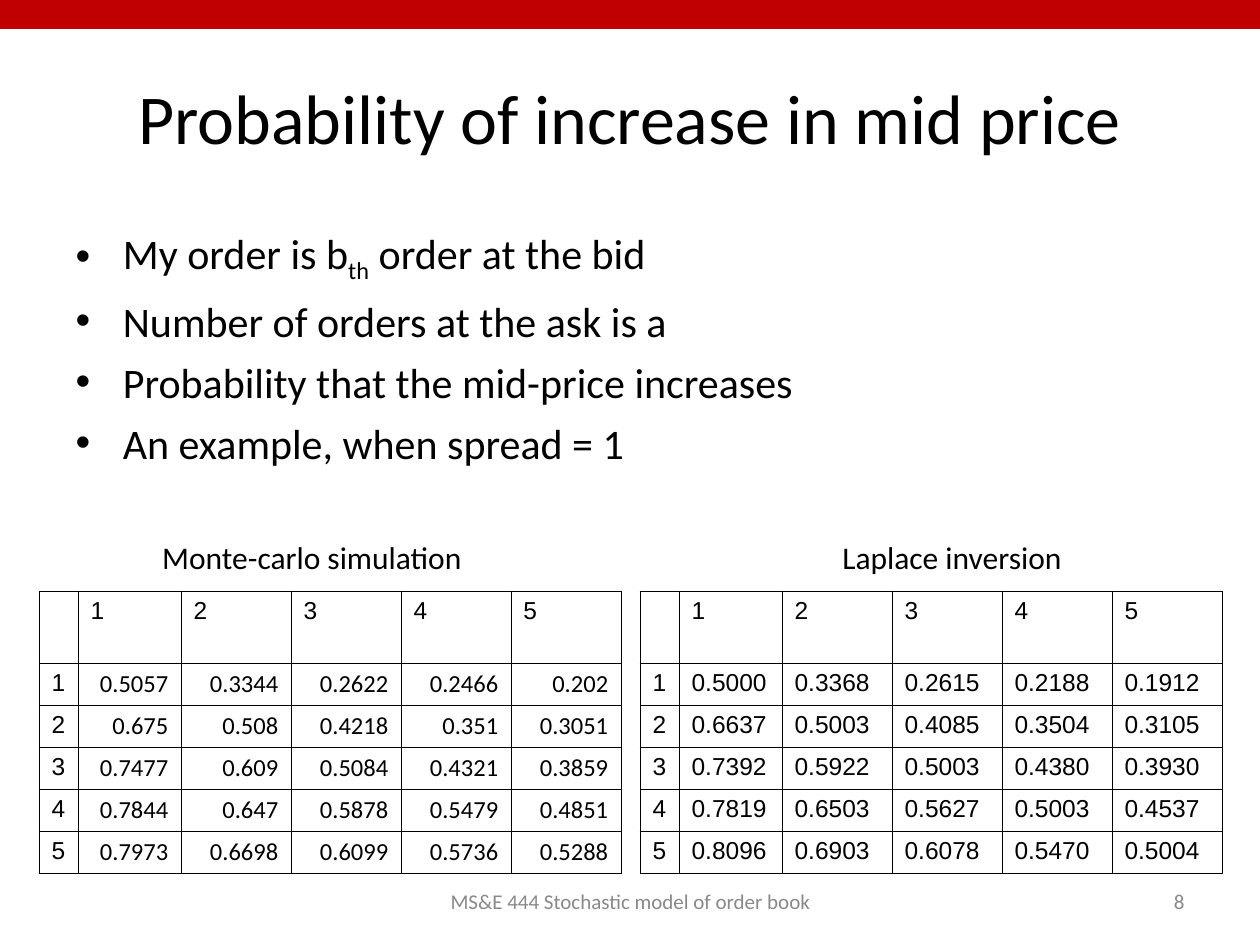
from dataclasses import dataclass

from lxml.etree import SubElement
from pptx import Presentation
from pptx.dml.color import RGBColor as RGB
from pptx.enum.shapes import MSO_SHAPE as SHAPE
from pptx.enum.text import MSO_ANCHOR as ANCHOR, MSO_AUTO_SIZE as AUTO, PP_ALIGN as ALIGN
from pptx.oxml.ns import qn
from pptx.util import Pt

PX = 914400 / 126
HEAD_ROW, DATA_ROW = 72, 42
COLS = [39, 103, 110, 110, 110, 110]
TABLE_TOP = 591


@dataclass(frozen=True)
class Theme:
    text: RGB = RGB(0x00, 0x00, 0x00)
    muted: RGB = RGB(0x89, 0x89, 0x89)
    band: RGB = RGB(0xC0, 0x00, 0x00)
    font: str = "Calibri"
    label_font: str = "Arial"
    title: int = 40
    body: int = 24
    caption: int = 18
    cell: int = 14
    footer: int = 12
    border: float = 0.45


THEME = Theme()

BULLETS = [
    ["My order is b", "th", " order at the bid"],
    ["Number of orders at the ask is a"],
    ["Probability that the mid-price increases"],
    ["An example, when spread = 1"],
]
MONTE_CARLO = [
    ["0.5057", "0.3344", "0.2622", "0.2466", "0.202"],
    ["0.675", "0.508", "0.4218", "0.351", "0.3051"],
    ["0.7477", "0.609", "0.5084", "0.4321", "0.3859"],
    ["0.7844", "0.647", "0.5878", "0.5479", "0.4851"],
    ["0.7973", "0.6698", "0.6099", "0.5736", "0.5288"],
]
LAPLACE = [
    ["0.5000", "0.3368", "0.2615", "0.2188", "0.1912"],
    ["0.6637", "0.5003", "0.4085", "0.3504", "0.3105"],
    ["0.7392", "0.5922", "0.5003", "0.4380", "0.3930"],
    ["0.7819", "0.6503", "0.5627", "0.5003", "0.4537"],
    ["0.8096", "0.6903", "0.6078", "0.5470", "0.5004"],
]


def px(*lengths):
    return [round(n * PX) for n in lengths]


def place(sp, *box):
    sp.left, sp.top, sp.width, sp.height = px(*box)


def style(p, size, color=THEME.text, font=THEME.font, align=None):
    p.alignment = align
    for r in p.runs:
        r.font.size = Pt(size)
        r.font.name = font
        r.font.color.rgb = color


def add_band(slide):
    sp = slide.shapes.add_shape(SHAPE.RECTANGLE, *px(0, 0, 1260, 29))
    sp.shadow.inherit = False
    sp.fill.solid()
    sp.fill.fore_color.rgb = THEME.band
    sp.line.fill.background()


def fill_title(sp, text):
    place(sp, 63, 38, 1134, 158)
    sp.text_frame.text = text
    style(sp.text_frame.paragraphs[0], THEME.title, align=ALIGN.CENTER)


def fill_bullets(sp, items):
    place(sp, 63, 221, 1134, 311)
    tf = sp.text_frame
    tf.auto_size = AUTO.NONE
    for i, parts in enumerate(items):
        p = tf.add_paragraph() if i else tf.paragraphs[0]
        p.space_before = Pt(6)
        for part in parts:
            p.add_run().text = part
        style(p, THEME.body)
    subscript = tf.paragraphs[0].runs[1]
    subscript.font._element.set("baseline", "-25000")


def add_label(slide, box, text, size, color=THEME.text, align=ALIGN.CENTER):
    tf = slide.shapes.add_textbox(*px(*box)).text_frame
    tf.word_wrap = True
    tf.vertical_anchor = ANCHOR.MIDDLE
    tf.text = text
    style(tf.paragraphs[0], size, color, align=align)


def set_borders(cell):
    tc_pr = cell._tc.get_or_add_tcPr()
    for side in ("a:lnL", "a:lnR", "a:lnT", "a:lnB"):
        ln = SubElement(tc_pr, qn(side), w=str(Pt(THEME.border)))
        fill = SubElement(ln, qn("a:solidFill"))
        SubElement(fill, qn("a:srgbClr"), val=str(THEME.text))


def add_grid(slide, left, values, font, align=None, anchor=None):
    labels = [str(n + 1) for n in range(len(values))]
    rows = [["", *labels]] + [[n, *row] for n, row in zip(labels, values)]
    heights = [HEAD_ROW] + [DATA_ROW] * len(values)
    box = px(left, TABLE_TOP, sum(COLS), sum(heights))
    table = slide.shapes.add_table(len(rows), len(COLS), *box).table
    table.first_row = table.horz_banding = False
    for col, width in zip(table.columns, px(*COLS)):
        col.width = width
    for row, height in zip(table.rows, px(*heights)):
        row.height = height
    for i, row in enumerate(rows):
        for j, text in enumerate(row):
            cell = table.cell(i, j)
            set_borders(cell)
            cell.fill.background()
            cell.text = text
            p = cell.text_frame.paragraphs[0]
            if i and j:
                style(p, THEME.cell, font=font, align=align)
                cell.vertical_anchor = anchor
            else:
                style(p, THEME.cell, font=THEME.label_font)


def main():
    prs = Presentation()
    prs.slide_width, prs.slide_height = px(1260, 945)
    slide = prs.slides.add_slide(prs.slide_layouts[1])
    add_band(slide)
    fill_title(slide.shapes.title, "Probability of increase in mid price")
    fill_bullets(slide.placeholders[1], BULLETS)
    add_label(slide, (59, 532, 506, 50), "Monte-carlo simulation", THEME.caption)
    add_label(slide, (699, 532, 506, 50), "Laplace inversion", THEME.caption)
    add_grid(slide, 39, MONTE_CARLO, THEME.font, ALIGN.RIGHT, ANCHOR.BOTTOM)
    add_grid(slide, 640, LAPLACE, THEME.label_font)
    add_label(slide, (431, 876, 399, 50), "MS&E 444 Stochastic model of order book",
              THEME.footer, THEME.muted)
    add_label(slide, (903, 876, 294, 50), "8", THEME.footer, THEME.muted, ALIGN.RIGHT)
    prs.save("out.pptx")


if __name__ == "__main__":
    main()
